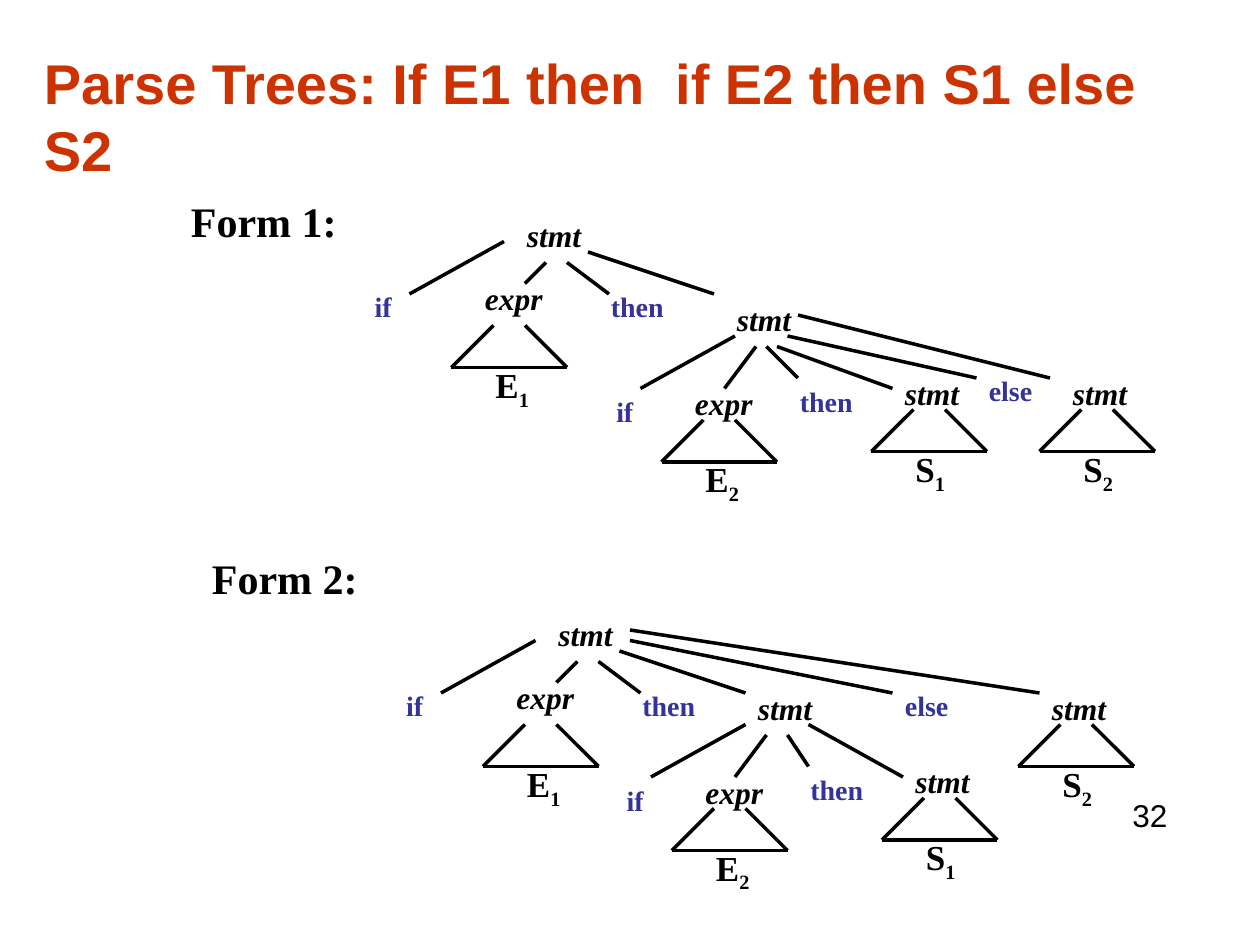
from lxml import etree
from pptx import Presentation
from pptx.dml.color import RGBColor
from pptx.enum import shapes, text
from pptx.oxml import ns
from pptx.util import Pt

BLACK = RGBColor(0x00, 0x00, 0x00)
RUST = RGBColor(0xCC, 0x33, 0x00)
INDIGO = RGBColor(0x33, 0x33, 0x99)
SANS = "Arial"
SERIF = "Times New Roman"

# Positions are (x, y) in points; a branch is (x1, y1, x2, y2).
FORM_1 = {
    "heading": ("Form 1:", 102, 108),
    "statements": [(294, 120), (414, 168)],
    "keywords": [("if", 192, 162), ("then", 342, 162), ("if", 330, 222),
                 ("then", 450, 216), ("else", 558, 210)],
    "branches": [
        (288, 138, 234, 168), (312, 150, 300, 162),
        (324, 150, 348, 168), (336, 144, 408, 168),
        (420, 192, 366, 222), (432, 198, 414, 222), (438, 198, 456, 216),
        (444, 198, 510, 222), (450, 192, 558, 216), (456, 180, 600, 216),
    ],
    "subtrees": [("expr", 270, 156, "E1", 30), ("expr", 390, 216, "E2", 24),
                 ("stmt", 510, 210, "S1", 24), ("stmt", 606, 210, "S2", 24)],
}
FORM_2 = {
    "heading": ("Form 2:", 114, 312),
    "statements": [(312, 348), (426, 390)],
    "keywords": [("if", 210, 390), ("then", 360, 390), ("else", 510, 390),
                 ("if", 336, 444), ("then", 456, 438)],
    "branches": [
        (306, 366, 252, 396), (330, 378, 318, 390), (342, 378, 366, 396),
        (354, 372, 426, 396), (360, 366, 510, 396), (360, 360, 594, 396),
        (426, 414, 372, 444), (438, 420, 420, 444),
        (450, 420, 462, 438), (462, 414, 516, 444),
    ],
    "subtrees": [("expr", 288, 384, "E1", 30), ("expr", 396, 438, "E2", 24),
                 ("stmt", 516, 432, "S1", 24), ("stmt", 594, 390, "S2", 24)],
}


def add_text(slide, words, x, y, width, height, size, color=BLACK,
             font=SERIF, bold=True, italic=False):
    """Add a one-paragraph text box and return its text frame."""
    frame = slide.shapes.add_textbox(
        Pt(x), Pt(y), Pt(width), Pt(height)).text_frame
    frame.word_wrap = True
    frame.text = words
    for run in frame.paragraphs[0].runs:
        run.font.name = font
        run.font.size = Pt(size)
        run.font.bold = bold
        run.font.italic = italic
        run.font.color.rgb = color
    return frame


def add_node(slide, symbol, x, y):
    add_text(slide, symbol, x, y, 54, 28.8, 18, italic=True)


def add_keyword(slide, word, x, y):
    frame = add_text(slide, word, x, y, 54, 26.6, 16, INDIGO)
    if word == "if":
        frame.paragraphs[0].alignment = text.PP_ALIGN.CENTER


def add_leaf(slide, letter, index, x, y):
    """Add a letter with a subscript index."""
    paragraph = add_text(slide, letter, x, y, 36, 34.6, 20).paragraphs[0]
    subscript = paragraph.add_run()
    subscript.text = index
    subscript.font.name = SERIF
    subscript.font.size = Pt(20)
    subscript.font.bold = True
    subscript.font.color.rgb = BLACK
    subscript._r.get_or_add_rPr().set("baseline", "-25000")


def add_branch(slide, x1, y1, x2, y2):
    branch = slide.shapes.add_connector(
        shapes.MSO_CONNECTOR.STRAIGHT, Pt(x1), Pt(y1), Pt(x2), Pt(y2))
    branch.line.color.rgb = BLACK
    branch.line.width = Pt(2)
    etree.SubElement(branch._element.spPr, ns.qn("a:effectLst"))


def add_subtree(slide, symbol, x, y, leaf, drop):
    """Add a node, the open triangle `drop` points below its top, and its leaf."""
    left, top = x - 12, y + drop
    base = top + 24
    add_node(slide, symbol, x, y)
    add_branch(slide, left + 24, top, left, base)
    add_branch(slide, left + 42, top, left + 66, base)
    add_branch(slide, left, base, left + 66, base)
    add_leaf(slide, leaf[0], leaf[1], left + 18, base - 6)


def add_form(slide, form):
    heading, x, y = form["heading"]
    add_text(slide, heading, x, y, 162, 36, 24)
    for position in form["statements"]:
        add_node(slide, "stmt", *position)
    for keyword in form["keywords"]:
        add_keyword(slide, *keyword)
    for branch in form["branches"]:
        add_branch(slide, *branch)
    for subtree in form["subtrees"]:
        add_subtree(slide, *subtree)


def main():
    deck = Presentation()
    deck.slide_width, deck.slide_height = Pt(720), Pt(540)
    slide = deck.slides.add_slide(deck.slide_layouts[6])
    title = add_text(slide, "Parse Trees: If E1 then  if E2 then S1 else S2",
                     18, 24, 666, 84, 32, RUST, SANS)
    title.vertical_anchor = text.MSO_ANCHOR.MIDDLE
    for form in (FORM_1, FORM_2):
        add_form(slide, form)
    add_text(slide, "32", 640, 451.4, 48, 41, 18, font=SANS, bold=False)
    deck.save("out.pptx")


if __name__ == "__main__":
    main()
